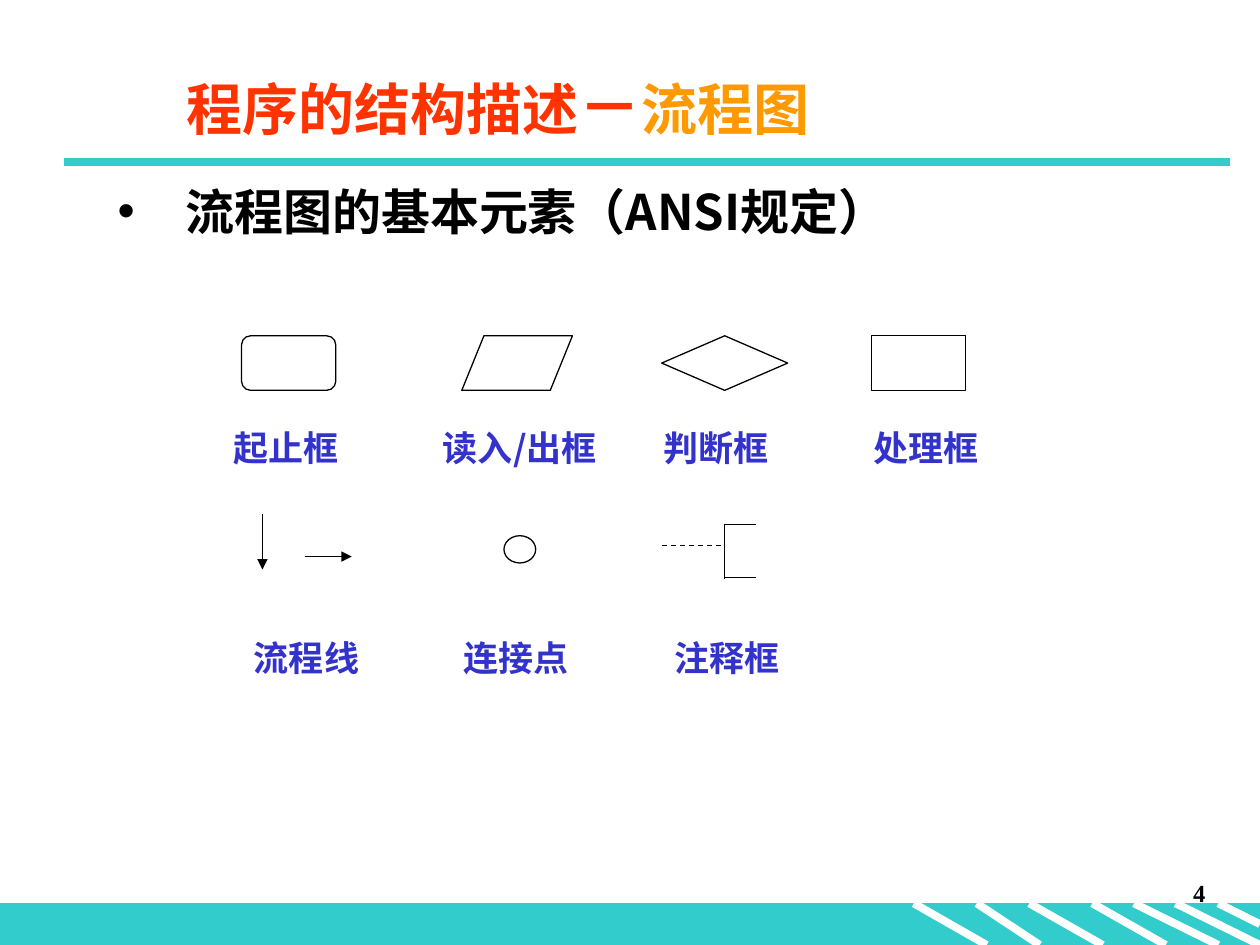
import pptx
import pptx.dml.color
import pptx.enum.dml
import pptx.enum.shapes
import pptx.enum.text
import pptx.oxml.ns
import pptx.util
from lxml import etree

Cm = pptx.util.Cm
Pt = pptx.util.Pt
SHAPE = pptx.enum.shapes.MSO_SHAPE
ALIGN = pptx.enum.text.PP_ALIGN
ANCHOR = pptx.enum.text.MSO_ANCHOR
qn = pptx.oxml.ns.qn

CJK, SERIF = "Noto Sans CJK SC", "Times New Roman"
TEAL, WHITE, BLACK, BLUE = "33CCCC", "FFFFFF", "000000", "3333CC"

# Runs: text, size in points, font, colour
TITLE = [
    ("程序的结构描述", 32, SERIF, "FF3300"),
    ("－", 36, CJK, "FF3300"),
    ("流程图", 32, SERIF, "FF9900"),
]
HEADING = [("流程图的基本元素（ANSI规定）", 28, CJK, BLACK)]
PAGE_NUMBER = [("4", 14, SERIF, BLACK)]

# All lengths below are in centimetres
FOOTER_TOP, SLIDE_WIDTH, SLIDE_HEIGHT = 18.21, 25.4, 19.05
# Stripes: start x, end x, end y
STRIPES = [
    (18.42, 19.89, SLIDE_HEIGHT), (19.69, 20.96, SLIDE_HEIGHT),
    (20.75, 22.23, SLIDE_HEIGHT), (22.02, 23.5, SLIDE_HEIGHT),
    (22.86, 24.56, SLIDE_HEIGHT), (23.7, SLIDE_WIDTH, SLIDE_HEIGHT),
    (24.56, SLIDE_WIDTH, 18.63),
]

# Symbols: preset, left, top, width, height
SYMBOLS = [
    (SHAPE.FLOWCHART_ALTERNATE_PROCESS, 4.87, 6.77, 1.9, 1.1),
    (SHAPE.FLOWCHART_DATA, 9.31, 6.77, 2.23, 1.1),
    (SHAPE.FLOWCHART_DECISION, 13.34, 6.77, 2.54, 1.1),
    (SHAPE.FLOWCHART_PROCESS, 17.57, 6.77, 1.9, 1.1),
    (SHAPE.OVAL, 10.16, 10.8, 0.64, 0.55),
]
FLOW_ARROWS = [(5.29, 10.37, 5.29, 11.48), (6.14, 11.22, 7.09, 11.22)]
NOTE_BRACKET = [
    (14.6, 10.58, 14.6, 11.68),
    (14.6, 10.58, 15.24, 10.58),
    (14.6, 11.64, 15.24, 11.64),
]
NOTE_LEADER = (13.34, 11, 14.6, 11)

# Label rows: top, then (text, left, width)
LABEL_ROWS = [
    (8.47, [("起止框", 4.45, 3.18), ("读入/出框", 8.68, 4.23),
            ("判断框", 13.12, 2.96), ("处理框", 17.36, 2.75)]),
    (12.7, [("流程线", 4.87, 3.18), ("连接点", 9.1, 3.18),
            ("注释框", 13.34, 3.18)]),
]


def rgb(colour):
    return pptx.dml.color.RGBColor.from_string(colour)


def write_runs(para, runs):
    for text, size, name, colour in runs:
        span = para.add_run()
        span.text = text
        span.font.size = Pt(size)
        span.font.bold = True
        span.font.name = name
        span.font.color.rgb = rgb(colour)
        etree.SubElement(span.font._element, qn("a:ea")).set("typeface", CJK)


def add_text(page, runs, left, top, width, height, align=ALIGN.LEFT):
    box = page.shapes.add_textbox(Cm(left), Cm(top), Cm(width), Cm(height))
    box.text_frame.word_wrap = True
    para = box.text_frame.paragraphs[0]
    para.alignment = align
    write_runs(para, runs)
    return para


def add_bullet(para, indent):
    properties = para._p.get_or_add_pPr()
    properties.set("marL", str(Cm(indent)))
    properties.set("indent", str(-Cm(indent)))
    etree.SubElement(properties, qn("a:buFont")).set("typeface", "Arial")
    etree.SubElement(properties, qn("a:buChar")).set("char", "•")


def add_symbol(page, preset, left, top, width, height, fill=WHITE, line=BLACK):
    shape = page.shapes.add_shape(preset, Cm(left), Cm(top), Cm(width), Cm(height))
    shape.shadow.inherit = False
    shape.fill.solid()
    shape.fill.fore_color.rgb = rgb(fill)
    shape.line.color.rgb = rgb(line)
    shape.line.width = Pt(0.75)


def add_line(page, ends, colour=BLACK, width=0.75, arrow=False, dashed=False):
    line = page.shapes.add_connector(
        pptx.enum.shapes.MSO_CONNECTOR.STRAIGHT, *[Cm(end) for end in ends])
    line.line.color.rgb = rgb(colour)
    line.line.width = Pt(width)
    if dashed:
        line.line.dash_style = pptx.enum.dml.MSO_LINE.DASH
    if arrow:
        etree.SubElement(line.line._get_or_add_ln(), qn("a:tailEnd")).set("type", "triangle")
    etree.SubElement(line._element.spPr, qn("a:effectLst"))


def main():
    deck = pptx.Presentation()
    deck.slide_width, deck.slide_height = Cm(SLIDE_WIDTH), Cm(SLIDE_HEIGHT)
    page = deck.slides.add_slide(deck.slide_layouts[5])

    add_symbol(page, SHAPE.RECTANGLE, 0, FOOTER_TOP, SLIDE_WIDTH,
               SLIDE_HEIGHT - FOOTER_TOP, TEAL, TEAL)
    for start, end, bottom in STRIPES:
        add_line(page, (start, FOOTER_TOP, end, bottom), WHITE, 4.5)
    add_line(page, (1.3, 3.27, 24.8, 3.27), TEAL, 4.5)
    add_text(page, PAGE_NUMBER, 19.26, 17.57, 5.29, 1.27, ALIGN.RIGHT)

    title = page.shapes.title
    title.left, title.top = Cm(3.5), Cm(1.11)
    title.width, title.height = Cm(21.59), Cm(2.01)
    title.text_frame.auto_size = pptx.enum.text.MSO_AUTO_SIZE.NONE
    title.text_frame.vertical_anchor = ANCHOR.MIDDLE
    title.text_frame.paragraphs[0].alignment = ALIGN.LEFT
    write_runs(title.text_frame.paragraphs[0], TITLE)

    heading = add_text(page, HEADING, 2.12, 3.53, 21.59, 12.8)
    add_bullet(heading, 1.37)

    for symbol in SYMBOLS:
        add_symbol(page, *symbol)
    for ends in FLOW_ARROWS:
        add_line(page, ends, arrow=True)
    for ends in NOTE_BRACKET:
        add_line(page, ends)
    add_line(page, NOTE_LEADER, dashed=True)

    for top, labels in LABEL_ROWS:
        for text, left, width in labels:
            add_text(page, [(text, 20, CJK, BLUE)], left, top, width, 1.1)

    deck.save("out.pptx")


if __name__ == "__main__":
    main()
